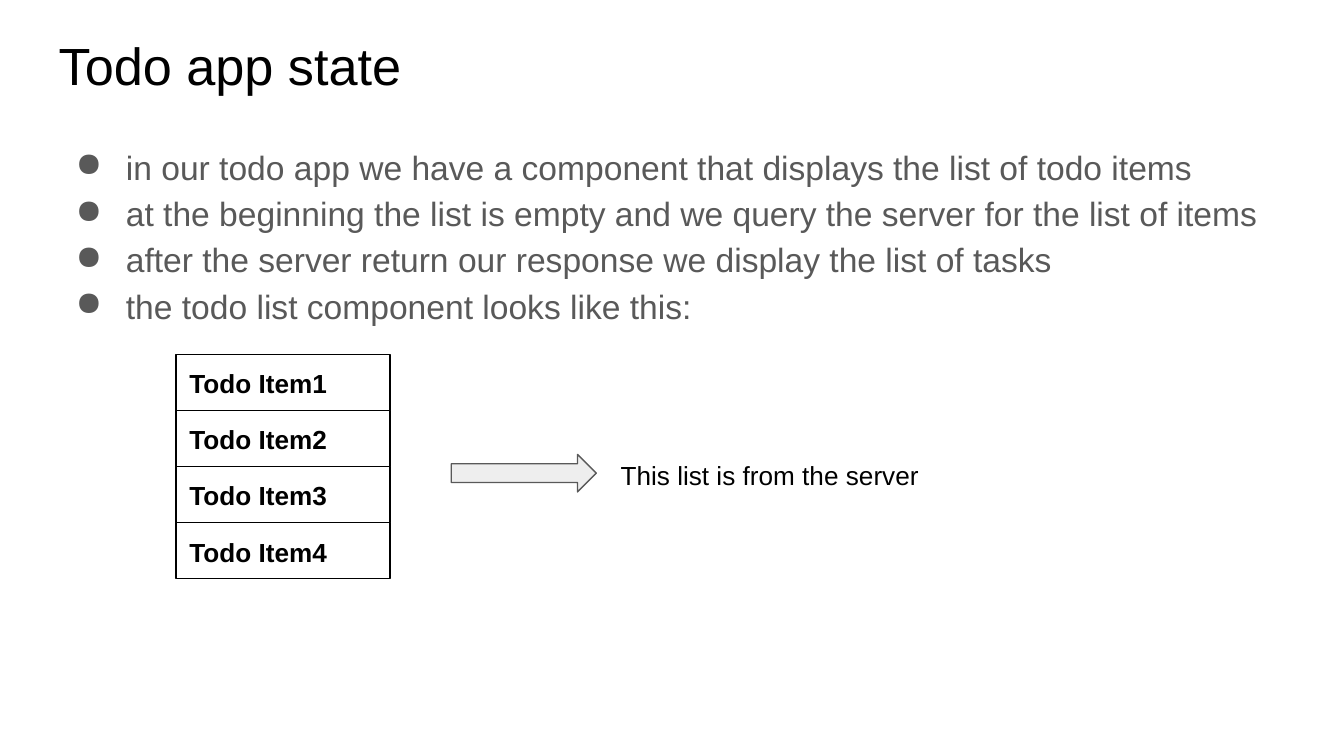
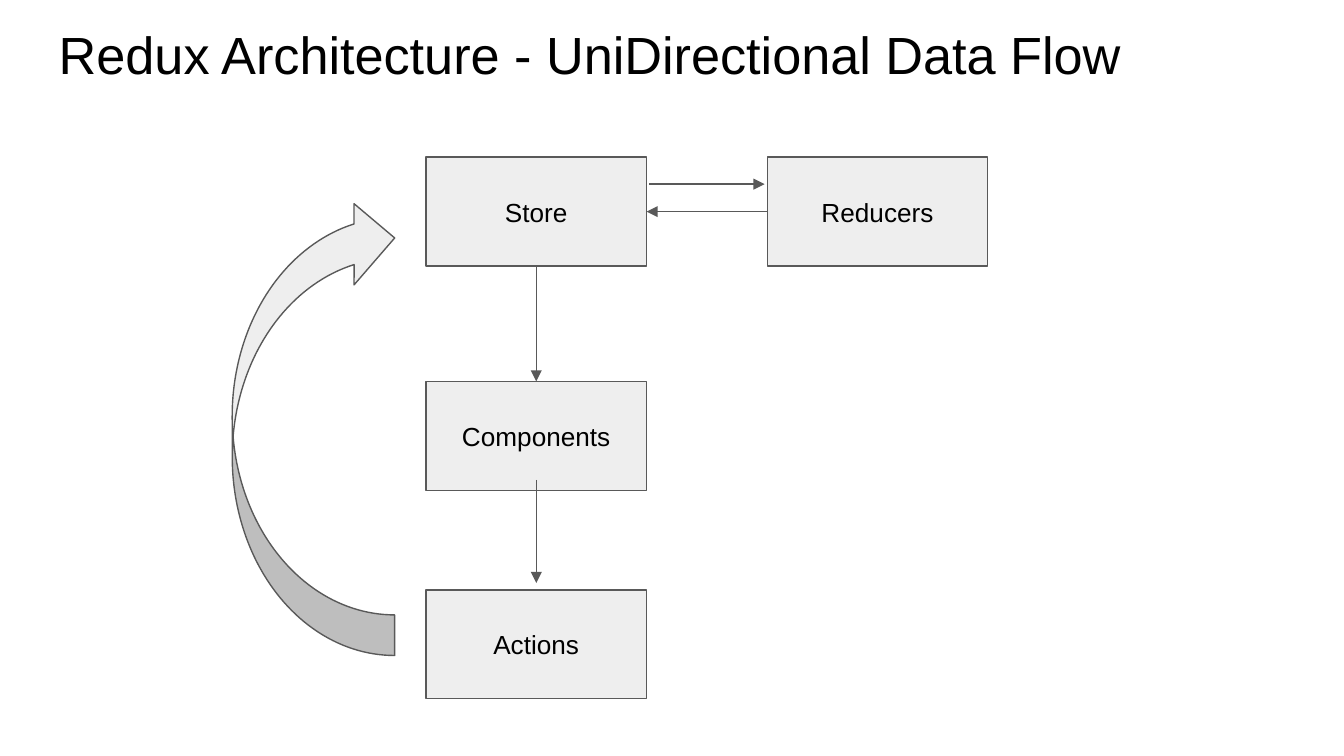
from dataclasses import dataclass
from typing import Optional

from lxml import etree
from pptx import Presentation
from pptx import util as u
from pptx.dml.color import RGBColor
from pptx.enum import shapes, text
from pptx.oxml.ns import qn
from pptx.shapes.autoshape import Shape
from pptx.shapes.connector import Connector
from pptx.slide import Slide

# Shared style
FONT = "Arial"
BLACK, GRAY, PALE, WHITE = "000000", "595959", "EEEEEE", "FFFFFF"
TITLE_SIZE, BODY_SIZE, LABEL_SIZE = 28, 18, 14
LINE_WIDTH = u.Pt(0.75)
INSET = u.Cm(0.25)
MARGIN, CONTENT_WIDTH = 0.86, 23.67


@dataclass(frozen=True)
class Area:
    """A rectangle, in centimetres."""
    left: float
    top: float
    width: float
    height: float

    def emu(self) -> tuple[u.Length, ...]:
        return tuple(u.Cm(n) for n in (self.left, self.top, self.width, self.height))


@dataclass(frozen=True)
class TextStyle:
    size: int = LABEL_SIZE
    color: str = BLACK
    bold: bool = False
    centered: bool = False
    bulleted: bool = False


def rgb(color: str) -> RGBColor:
    return RGBColor.from_string(color)


def add_bullet(paragraph, color: str) -> None:
    paragraph.line_spacing = 1.15
    properties = paragraph._p.get_or_add_pPr()
    properties.set("marL", str(u.Cm(1.27)))
    properties.set("indent", str(u.Cm(-0.95)))
    bullet_color = etree.SubElement(properties, qn("a:buClr"))
    etree.SubElement(bullet_color, qn("a:srgbClr"), val=color)
    etree.SubElement(properties, qn("a:buChar"), char="●")


def write(shape: Shape, lines: list[str], style: TextStyle) -> None:
    frame = shape.text_frame
    frame.word_wrap = True
    frame.margin_left = frame.margin_top = INSET
    frame.margin_right = frame.margin_bottom = INSET
    anchor = text.MSO_ANCHOR
    frame.vertical_anchor = anchor.MIDDLE if style.centered else anchor.TOP
    for index, line in enumerate(lines):
        paragraph = frame.add_paragraph() if index else frame.paragraphs[0]
        paragraph.alignment = text.PP_ALIGN.CENTER if style.centered else text.PP_ALIGN.LEFT
        if style.bulleted:
            add_bullet(paragraph, style.color)
        run = paragraph.add_run()
        run.text = line
        run.font.name = FONT
        run.font.size = u.Pt(style.size)
        run.font.bold = style.bold
        run.font.color.rgb = rgb(style.color)


def add_text(slide: Slide, area: Area, lines: list[str], style: TextStyle) -> None:
    write(slide.shapes.add_textbox(*area.emu()), lines, style)


def add_figure(slide: Slide, kind: shapes.MSO_SHAPE, area: Area,
               fill: Optional[str] = PALE, line: str = GRAY) -> Shape:
    shape = slide.shapes.add_shape(kind, *area.emu())
    shape.shadow.inherit = False
    if fill:
        shape.fill.solid()
        shape.fill.fore_color.rgb = rgb(fill)
    else:
        shape.fill.background()
    shape.line.color.rgb = rgb(line)
    shape.line.width = LINE_WIDTH
    return shape


def add_arrow(slide: Slide, x1: float = 0, y1: float = 0,
              x2: float = 0, y2: float = 0) -> Connector:
    arrow = slide.shapes.add_connector(
        shapes.MSO_CONNECTOR.STRAIGHT, u.Cm(x1), u.Cm(y1), u.Cm(x2), u.Cm(y2))
    arrow.line.color.rgb = rgb(GRAY)
    arrow.line.width = LINE_WIDTH
    etree.SubElement(arrow.line._get_or_add_ln(), qn("a:tailEnd"), type="triangle")
    etree.SubElement(arrow._element.spPr, qn("a:effectLst"))
    return arrow


def join(slide: Slide, start: Shape, start_side: int, end: Shape, end_side: int) -> None:
    arrow = add_arrow(slide)
    arrow.begin_connect(start, start_side)
    arrow.end_connect(end, end_side)


def add_titled_slide(presentation, title: str, top: float) -> Slide:
    slide = presentation.slides.add_slide(presentation.slide_layouts[6])
    slide.background.fill.solid()
    slide.background.fill.fore_color.rgb = rgb(WHITE)
    add_text(slide, Area(MARGIN, top, CONTENT_WIDTH, 1.6), [title], TextStyle(TITLE_SIZE))
    return slide


def build_todo_slide(presentation) -> None:
    slide = add_titled_slide(presentation, "Todo app state", 0.38)
    add_text(slide, Area(MARGIN, 2.41, CONTENT_WIDTH, 2.54), [
        "in our todo app we have a component that displays the list of todo items",
        "at the beginning the list is empty and we query the server for the list of items",
        "after the server return our response we display the list of tasks",
        "the todo list component looks like this:",
    ], TextStyle(BODY_SIZE, GRAY, bulleted=True))

    # Stack of todo items
    item_height = 1.06
    for index in range(4):
        area = Area(3.33, 6.7 + index * item_height, 4.04, item_height)
        item = add_figure(slide, shapes.MSO_SHAPE.RECTANGLE, area, fill=None, line=BLACK)
        write(item, [f"Todo Item{index + 1}"], TextStyle(bold=True))

    # Explanation of the list
    add_figure(slide, shapes.MSO_SHAPE.RIGHT_ARROW, Area(8.53, 8.59, 2.74, 0.71))
    add_text(slide, Area(11.48, 8.43, 6.32, 1.45), ["This list is from the server"], TextStyle())


def build_redux_slide(presentation) -> None:
    slide = add_titled_slide(presentation, "Redux Architecture - UniDirectional Data Flow", 0.18)

    # Boxes of the data flow
    width, height = 4.17, 2.06
    main_left, side_left, first_top = 8.05, 14.5, 2.97
    positions = {
        "Components": (main_left, 7.21),
        "Actions": (main_left, 11.15),
        "Store": (main_left, first_top),
        "Reducers": (side_left, first_top),
    }
    boxes: dict[str, Shape] = {}
    for name, (left, top) in positions.items():
        boxes[name] = add_figure(
            slide, shapes.MSO_SHAPE.RECTANGLE, Area(left, top, width, height))
        write(boxes[name], [name], TextStyle(centered=True))

    # Arrows down the column
    center = main_left + width / 2
    join(slide, boxes["Store"], 2, boxes["Components"], 0)
    add_arrow(slide, center, 9.07, center, 11.02)

    # Curved arrow from the actions back to the store
    loop = add_figure(slide, shapes.MSO_SHAPE.CURVED_RIGHT_ARROW, Area(4.39, 3.73, 3.07, 8.66))
    for index, value in enumerate((0.25, 0.5, 0.25)):
        loop.adjustments[index] = value
    loop.rotation = 180
    loop._element.spPr.xfrm.set("flipH", "1")

    # Exchange between store and reducers
    gap = 0.05
    add_arrow(slide, main_left + width + gap, 3.48, side_left - gap, 3.48)
    join(slide, boxes["Reducers"], 1, boxes["Store"], 3)


def main() -> None:
    presentation = Presentation()
    presentation.slide_width = u.Cm(25.4)
    presentation.slide_height = u.Cm(14.29)
    build_todo_slide(presentation)
    build_redux_slide(presentation)
    presentation.save("out.pptx")


if __name__ == "__main__":
    main()
